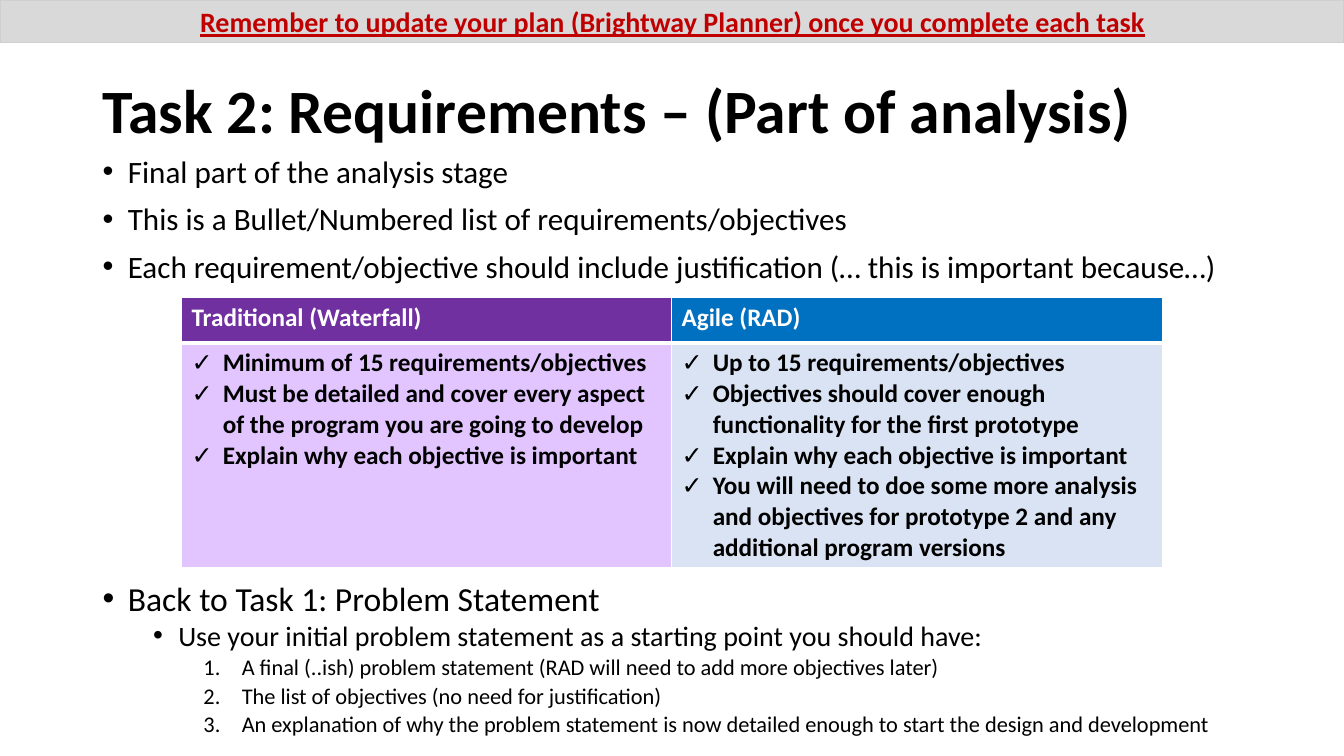
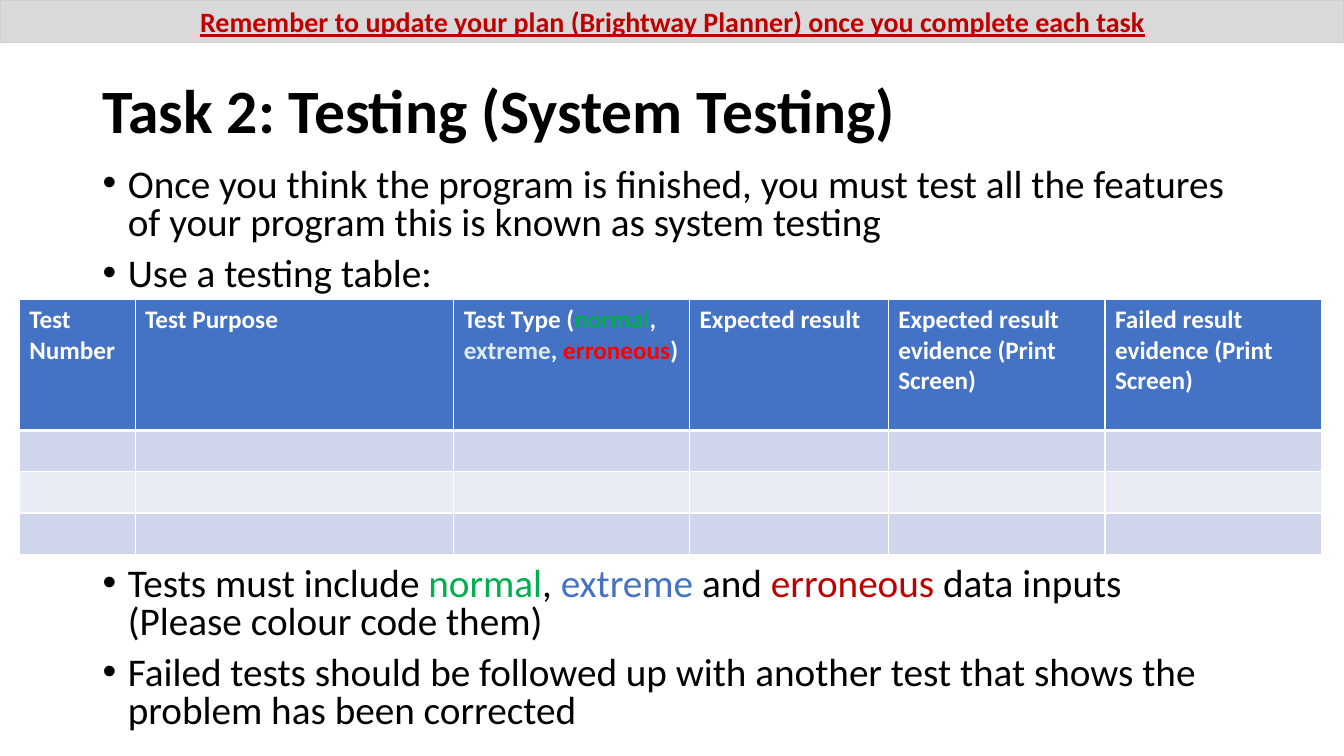
from lxml import etree
from pptx import Presentation
from pptx.dml.color import RGBColor
from pptx.enum.shapes import MSO_SHAPE
from pptx.enum.text import MSO_ANCHOR, PP_ALIGN
from pptx.oxml.ns import qn
from pptx.util import Inches, Pt

FONT = "Calibri"
BLACK = RGBColor(0x00, 0x00, 0x00)
WHITE = RGBColor(0xFF, 0xFF, 0xFF)
RED = RGBColor(0xC0, 0x00, 0x00)
BRIGHT_RED = RGBColor(0xFF, 0x00, 0x00)
GREEN = RGBColor(0x00, 0xB0, 0x50)
BLUE = RGBColor(0x44, 0x72, 0xC4)
PALE_BLUE = RGBColor(0xDE, 0xEB, 0xF7)
BAND_FILL = RGBColor(0xD9, 0xD9, 0xD9)
BAND_LINE = RGBColor(0xD0, 0xCE, 0xCE)
PURPLE = RGBColor(0x70, 0x30, 0xA0)
LILAC = RGBColor(0xE2, 0xC5, 0xFF)
AGILE_BLUE = RGBColor(0x00, 0x70, 0xC0)
AGILE_PALE = RGBColor(0xDA, 0xE3, 0xF3)
ROW_DARK = RGBColor(0xCF, 0xD5, 0xEA)
ROW_LIGHT = RGBColor(0xE9, 0xEB, 0xF5)

SLIDE_W = 13.33
MARGIN = 0.92
CONTENT_W = 11.5
REMINDER = "Remember to update your plan (Brightway Planner) once you complete each task"


def write(p, parts, size, color=BLACK, bold=False, underline=False):
    """Fill a paragraph from a string or from a list of (text, colour) parts."""
    if isinstance(parts, str):
        parts = [(parts, color)]
    for text, tint in parts:
        r = p.add_run()
        r.text = text
        r.font.name = FONT
        r.font.size = Pt(size)
        r.font.bold = bold
        r.font.underline = underline
        r.font.color.rgb = tint


def set_bullet(p, mark, left, hang):
    """Give a paragraph a bullet character, or numbering when mark is '1.'."""
    pPr = p._p.get_or_add_pPr()
    pPr.set("marL", str(Inches(left)))
    pPr.set("indent", str(-Inches(hang)))
    if mark == "1.":
        etree.SubElement(pPr, qn("a:buFont"), typeface="+mj-lt")
        etree.SubElement(pPr, qn("a:buAutoNum"), type="arabicPeriod")
    else:
        etree.SubElement(pPr, qn("a:buFont"), typeface="Arial")
        etree.SubElement(pPr, qn("a:buChar"), char=mark)


def next_paragraph(tf, i):
    """Return the first paragraph of a text frame, or add another."""
    return tf.add_paragraph() if i else tf.paragraphs[0]


def add_text_box(s, left, top, width, height):
    """Add a wrapping text box and return its text frame."""
    tf = s.shapes.add_textbox(Inches(left), Inches(top),
                              Inches(width), Inches(height)).text_frame
    tf.word_wrap = True
    return tf


def add_bullets(s, top, height, items, size, spacing):
    """Add a bulleted list whose items are (level, parts)."""
    levels = [("•", size, 0.25, 0.25, 10),
              ("•", 20, 0.75, 0.25, 5),
              ("1.", 16, 1.38, 0.38, 5)]
    tf = add_text_box(s, MARGIN, top, CONTENT_W, height)
    for i, (level, parts) in enumerate(items):
        mark, points, left, hang, before = levels[level]
        p = next_paragraph(tf, i)
        p.level = level
        p.line_spacing = spacing
        p.space_before = Pt(before)
        set_bullet(p, mark, left, hang)
        write(p, parts, points)


def add_border(cell, side, width):
    """Draw one white border of a cell."""
    ln = etree.SubElement(cell._tc.get_or_add_tcPr(), qn("a:ln" + side),
                          w=str(Pt(width)))
    fill = etree.SubElement(ln, qn("a:solidFill"))
    etree.SubElement(fill, qn("a:srgbClr"), val=str(WHITE))


def add_grid(s, left, top, widths, heights, fills):
    """Add a table with white borders and fills given row by row."""
    table = s.shapes.add_table(len(heights), len(widths), Inches(left), Inches(top),
                               Inches(sum(widths)), Inches(sum(heights))).table
    for column, width in zip(table.columns, widths):
        column.width = Inches(width)
    for i, height in enumerate(heights):
        table.rows[i].height = Inches(height)
        for j, color in enumerate(fills[i]):
            cell = table.cell(i, j)
            for side in ("L", "R") if i else ("L", "R", "T"):
                add_border(cell, side, 1)
            add_border(cell, "B", 1 if i else 3)
            cell.fill.solid()
            cell.fill.fore_color.rgb = color
    return table


def add_headers(table, headers):
    """Write the heading row of a table."""
    for j, parts in enumerate(headers):
        write(table.cell(0, j).text_frame.paragraphs[0], parts, 18, WHITE, bold=True)


def add_base_slide(prs, title):
    """Add a slide with the reminder band and the title."""
    s = prs.slides.add_slide(prs.slide_layouts[6])
    sp = s.shapes.add_shape(MSO_SHAPE.RECTANGLE, 0, 0, Inches(SLIDE_W), Inches(0.42))
    sp.shadow.inherit = False
    sp.fill.solid()
    sp.fill.fore_color.rgb = BAND_FILL
    sp.line.color.rgb = BAND_LINE
    sp.line.width = Pt(1)
    p = add_text_box(s, MARGIN, 0, CONTENT_W, 0.44).paragraphs[0]
    p.alignment = PP_ALIGN.CENTER
    write(p, REMINDER, 20, RED, bold=True, underline=True)
    tf = add_text_box(s, MARGIN, 0.4, CONTENT_W, 1.45)
    tf.vertical_anchor = MSO_ANCHOR.MIDDLE
    p = tf.paragraphs[0]
    p.line_spacing = 0.9
    write(p, title, 44, bold=True)
    return s


def add_requirements_slide(prs):
    """Build the slide on requirements."""
    s = add_base_slide(prs, "Task 2: Requirements – (Part of analysis)")
    add_bullets(s, 1.5, 1.45, [
        (0, "Final part of the analysis stage"),
        (0, "This is a Bullet/Numbered list of requirements/objectives"),
        (0, "Each requirement/objective should include justification "
            "(… this is important because…)"),
    ], 22.2, 0.9)
    table = add_grid(s, 1.8, 2.95, [4.86, 4.87], [0.45, 2.23],
                     [(PURPLE, AGILE_BLUE), (LILAC, AGILE_PALE)])
    add_headers(table, ["Traditional (Waterfall)", "Agile (RAD)"])
    checklists = [
        ["Minimum of 15 requirements/objectives",
         "Must be detailed and cover every aspect of the program you are going to develop",
         "Explain why each objective is important"],
        ["Up to 15 requirements/objectives",
         "Objectives should cover enough functionality for the first prototype",
         "Explain why each objective is important",
         "You will need to doe some more analysis and objectives for prototype 2 "
         "and any additional program versions"],
    ]
    for j, checklist in enumerate(checklists):
        tf = table.cell(1, j).text_frame
        for i, text in enumerate(checklist):
            p = next_paragraph(tf, i)
            set_bullet(p, "✓", 0.31, 0.31)
            write(p, text, 18, bold=True)
    add_bullets(s, 5.76, 1.69, [
        (0, "Back to Task 1: Problem Statement"),
        (1, "Use your initial problem statement as a starting point you should have:"),
        (2, "A final (..ish) problem statement (RAD will need to add more objectives later)"),
        (2, "The list of objectives (no need for justification)"),
        (2, "An explanation of why the problem statement is now detailed enough "
            "to start the design and development"),
    ], 24, 0.8)


def add_testing_slide(prs):
    """Build the slide on system testing."""
    s = add_base_slide(prs, "Task 2: Testing (System Testing)")
    add_bullets(s, 1.62, 1.35, [
        (0, "Once you think the program is finished, you must test all the features "
            "of your program this is known as system testing"),
        (0, "Use a testing table:"),
    ], 28, 0.8)
    widths = [1.15, 3.16, 2.34, 1.97, 2.15, 2.15]
    row_fills = [BLUE, ROW_DARK, ROW_LIGHT, ROW_DARK]
    table = add_grid(s, 0.19, 2.97, widths, [1.3] + [0.41] * 3,
                     [[color] * len(widths) for color in row_fills])
    add_headers(table, [
        "Test Number",
        "Test Purpose",
        [("Test Type (", WHITE), ("normal", GREEN), (", ", WHITE),
         ("extreme", PALE_BLUE), (", ", WHITE), ("erroneous", BRIGHT_RED), (")", WHITE)],
        "Expected result",
        "Expected result evidence (Print Screen)",
        "Failed result evidence (Print Screen)",
    ])
    add_bullets(s, 5.58, 1.9, [
        (0, [("Tests must include ", BLACK), ("normal", GREEN), (", ", BLACK),
             ("extreme", BLUE), (" and ", BLACK), ("erroneous", RED),
             (" data inputs (Please colour code them)", BLACK)]),
        (0, "Failed tests should be followed up with another test that shows "
            "the problem has been corrected"),
    ], 28, 0.8)


def main():
    """Build and save the presentation."""
    prs = Presentation()
    prs.slide_width = Inches(SLIDE_W)
    prs.slide_height = Inches(7.5)
    add_requirements_slide(prs)
    add_testing_slide(prs)
    prs.save("out.pptx")


if __name__ == "__main__":
    main()
